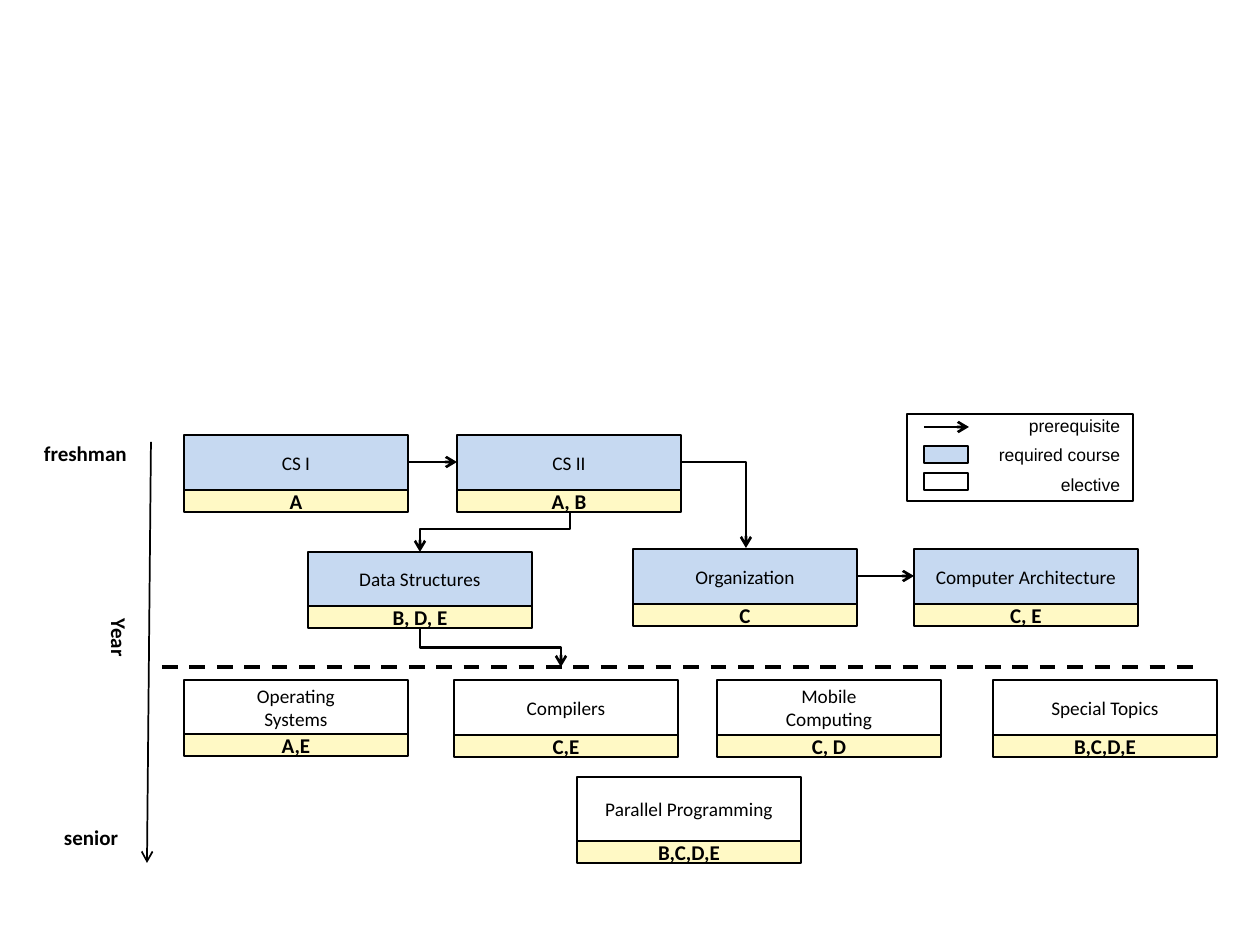
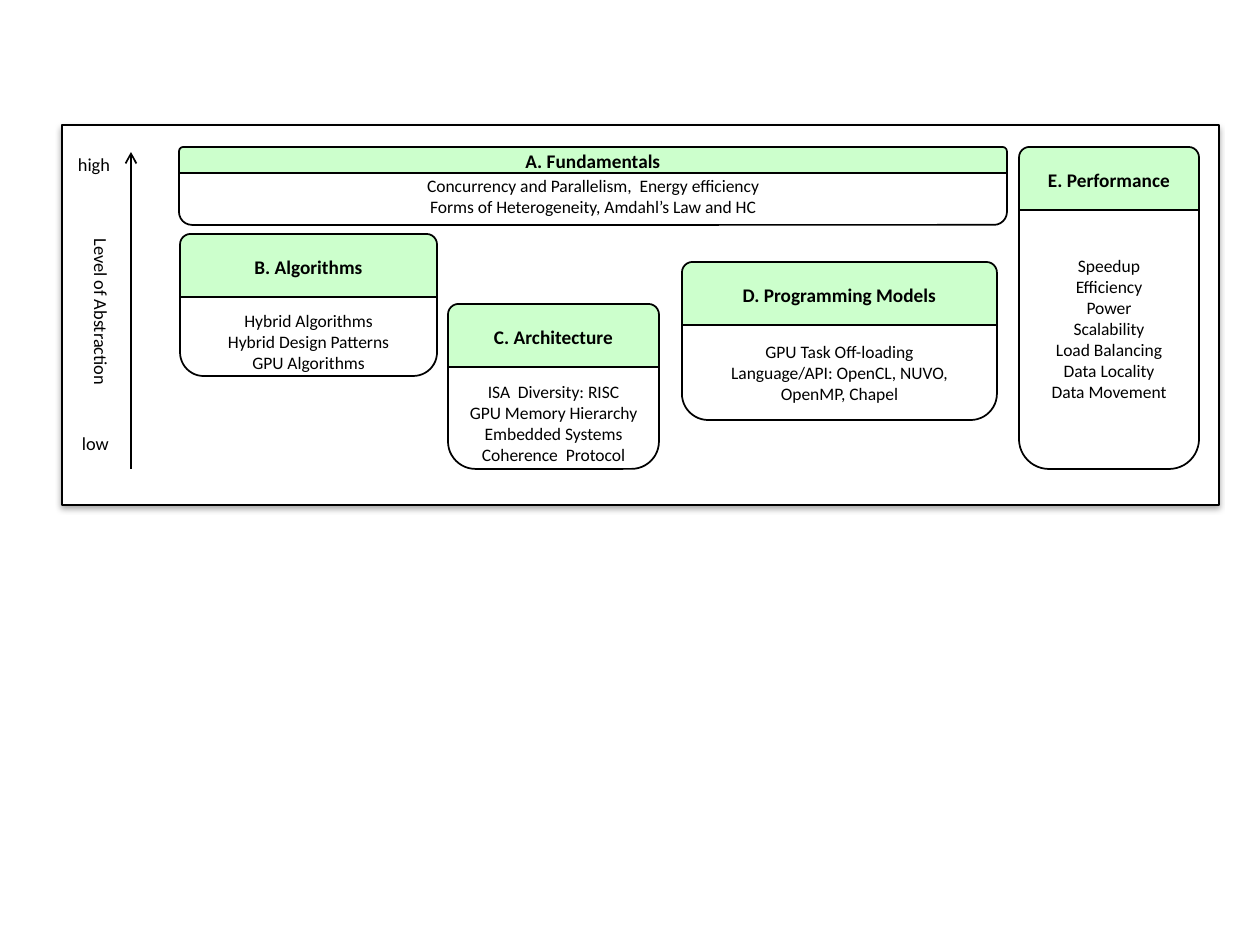
from pptx import Presentation
from pptx.dml.color import RGBColor
from pptx.enum.dml import MSO_LINE
from pptx.enum.shapes import MSO_CONNECTOR as LINK, MSO_SHAPE as SHAPE
from pptx.enum.text import MSO_ANCHOR as ANCHOR, PP_ALIGN as ALIGN
from pptx.oxml import parse_xml
from pptx.oxml.ns import nsdecls, qn
from pptx.util import Inches, Pt

SCALE = Inches(10) / 1260
COLOURS = {
    "ink": "000000",
    "paper": "FFFFFF",
    "required": "C6D9F1",
    "topic": "FFF9C5",
    "heading": "CCFFCC",
}


def place(page, kind, at, text="", fill=None, weight=1, size=11, bold=False, font="Calibri",
          align=ALIGN.CENTER, anchor=ANCHOR.MIDDLE, margins=(0, 0, 0, 0), after=0, turn=0):
    area = [round(n * SCALE) for n in at]
    if kind is None:
        box = page.shapes.add_textbox(*area)
    else:
        box = page.shapes.add_shape(kind, *area)
        box.shadow.inherit = False
        box.line.color.rgb = RGBColor.from_string(COLOURS["ink"])
        box.line.width = Pt(weight)
        if fill:
            box.fill.solid()
            box.fill.fore_color.rgb = RGBColor.from_string(COLOURS[fill])
        else:
            box.fill.background()
    box.rotation = turn
    frame = box.text_frame
    frame.word_wrap = True
    frame.vertical_anchor = anchor
    frame.margin_left, frame.margin_top, frame.margin_right, frame.margin_bottom = [
        round(n * SCALE) for n in margins]
    for number, words in enumerate(text.split("\n") if text else []):
        para = frame.paragraphs[0] if number == 0 else frame.add_paragraph()
        para.alignment = align
        para.space_after = Pt(after)
        span = para.add_run()
        span.text = words
        span.font.name = font
        span.font.size = Pt(size)
        span.font.bold = bold
        span.font.color.rgb = RGBColor.from_string(COLOURS["ink"])
    return box


def connect(page, ends, kind=LINK.STRAIGHT, weight=1.5, arrow=True):
    link = page.shapes.add_connector(kind, *[round(n * SCALE) for n in ends])
    link.line.color.rgb = RGBColor.from_string(COLOURS["ink"])
    link.line.width = Pt(weight)
    if arrow:
        link.line._get_or_add_ln().append(
            parse_xml(f'<a:tailEnd {nsdecls("a")} type="arrow"/>'))
    link._element.spPr.append(parse_xml(f'<a:effectLst {nsdecls("a")}/>'))
    return link


deck = Presentation()
deck.slide_width, deck.slide_height = Inches(10), Inches(7.5)
curriculum, topics = [deck.slides.add_slide(deck.slide_layouts[6]) for _ in range(2)]
label = dict(align=ALIGN.LEFT, anchor=ANCHOR.TOP, margins=(13, 6, 13, 6))

COURSE_WIDTH, TAG_HEIGHT = 224, 22
courses = [
    ("CS I", "A", 184, 435, 55, "required"),
    ("CS II", "A, B", 457, 435, 55, "required"),
    ("Data Structures", "B, D, E", 308, 552, 54, "required"),
    ("Organization", "C", 633, 549, 55, "required"),
    ("Computer Architecture", "C, E", 914, 549, 55, "required"),
    ("Operating\nSystems", "A,E", 184, 680, 54, None),
    ("Compilers", "C,E", 454, 680, 55, "paper"),
    ("Mobile\nComputing", "C, D", 717, 680, 55, None),
    ("Special Topics", "B,C,D,E", 993, 680, 55, None),
    ("Parallel Programming", "B,C,D,E", 577, 777, 64, None),
]
for name, tags, left, top, height, fill in courses:
    place(curriculum, SHAPE.RECTANGLE, (left, top, COURSE_WIDTH, height), name, fill=fill)
    place(curriculum, SHAPE.RECTANGLE, (left, top + height, COURSE_WIDTH, TAG_HEIGHT), tags,
          fill="topic", size=12, bold=True)

for words, at, turn in [
    ("freshman", (31, 435, 179, 38), 0),
    ("senior", (51, 819, 90, 38), 0),
    ("Year", (77, 629, 84, 38), 90),
]:
    place(curriculum, None, at, words, size=12, bold=True, turn=turn, **label)

connect(curriculum, (151, 442, 147, 863), weight=1)
connect(curriculum, (408, 462, 457, 462))
connect(curriculum, (858, 576, 914, 576))

to_organization = connect(curriculum, (682, 462, 746, 548), LINK.ELBOW)
to_organization._element.spPr.find(qn("a:prstGeom")).set("prst", "bentConnector2")

for ends, angle, bend in [
    ((475, 457, 515, 607), 90, 42900),
    ((510, 577, 471, 718), 270, 50000),
]:
    link = connect(curriculum, ends, LINK.ELBOW)
    properties = link._element.spPr
    properties.xfrm.set("rot", str(angle * 60000))
    properties.find(qn("a:prstGeom")).find(qn("a:avLst")).append(
        parse_xml(f'<a:gd {nsdecls("a")} name="adj1" fmla="val {bend}"/>'))

divider = connect(curriculum, (162, 667, 1197, 667), weight=2.25, arrow=False)
divider.line.dash_style = MSO_LINE.DASH

place(curriculum, SHAPE.RECTANGLE, (907, 414, 226, 87), "prerequisite\nrequired course\nelective",
      weight=0.75, size=10, font="Arial", align=ALIGN.RIGHT, anchor=ANCHOR.TOP,
      margins=(13, 1, 13, 0), after=4.8)
connect(curriculum, (924, 427, 969, 427))
for top, fill in [(446, "required"), (473, None)]:
    place(curriculum, SHAPE.RECTANGLE, (924, top, 44, 17), fill=fill)

panel = place(topics, SHAPE.RECTANGLE, (62, 125, 1157, 380), fill="paper", weight=0.75)
panel._element.spPr.find(qn("a:effectLst")).append(parse_xml(
    f'<a:outerShdw {nsdecls("a")} blurRad="{Pt(3.1)}" dist="{Pt(1.8)}" dir="5400000" '
    f'rotWithShape="0"><a:srgbClr val="{COLOURS["ink"]}"><a:alpha val="35000"/></a:srgbClr>'
    '</a:outerShdw>'))

CORNER_INSET = 0.05
modules = [
    ("B. Algorithms", (180, 234, 257, 142), 63, 310,
     "Hybrid Algorithms\nHybrid Design Patterns\nGPU Algorithms"),
    ("D. Programming Models", (682, 262, 315, 158), 63, 341,
     "GPU Task Off-loading\nLanguage/API: OpenCL, NUVO, OpenMP, Chapel"),
    ("C. Architecture", (448, 304, 211, 165), 63, 381,
     "ISA  Diversity: RISC\nGPU Memory Hierarchy\nEmbedded Systems\nCoherence  Protocol"),
    ("E. Performance", (1019, 147, 180, 322), 63, 255,
     "Speedup\nEfficiency\nPower\nScalability\nLoad Balancing\nData Locality\nData Movement"),
    ("A. Fundamentals", (179, 147, 828, 78), 26, 175,
     "Concurrency and Parallelism,  Energy efficiency\n"
     "Forms of Heterogeneity, Amdahl’s Law and HC"),
]
for heading, at, head_height, text_top, body in modules:
    left, top, width, height = at
    inset = text_top - top - CORNER_INSET * min(width, height)
    place(topics, SHAPE.ROUNDED_RECTANGLE, at, body, size=10, anchor=ANCHOR.TOP,
          margins=(13, inset, 13, 0))
    place(topics, SHAPE.ROUND_2_SAME_RECTANGLE, (left, top, width, head_height), heading,
          fill="heading", bold=True)

connect(topics, (131, 469, 131, 152), weight=1)
for words, at, turn in [
    ("low", (69, 426, 62, 36), 0),
    ("high", (65, 147, 69, 36), 0),
    ("Level of Abstraction", (14, 295, 174, 35), 90),
]:
    place(topics, None, at, words, size=10.5, turn=turn, **label)

deck.save("out.pptx")
